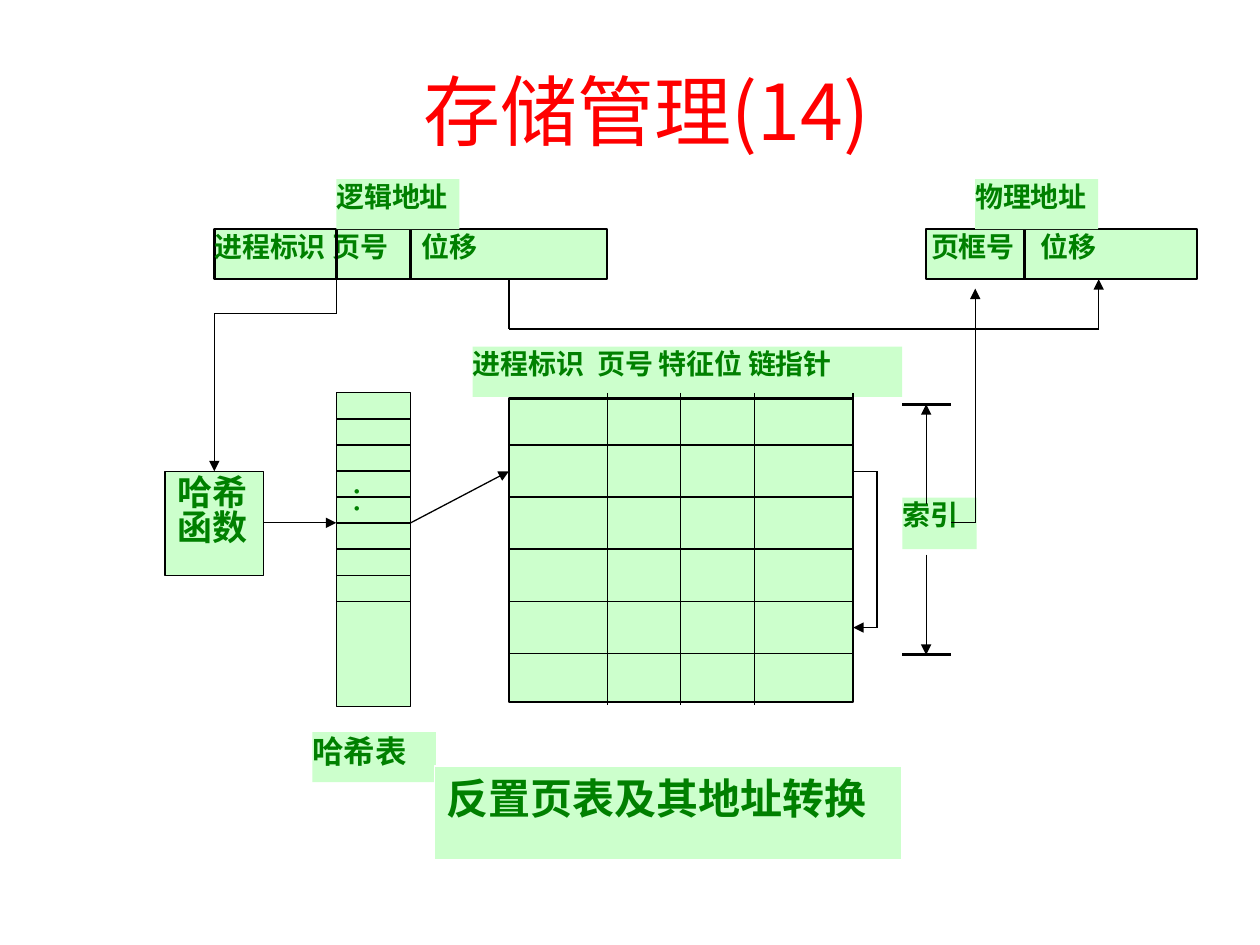
from lxml.etree import SubElement
from pptx import Presentation
from pptx.dml.color import RGBColor
from pptx.enum.shapes import MSO_CONNECTOR, MSO_SHAPE
from pptx.enum.text import MSO_ANCHOR, PP_ALIGN
from pptx.oxml.ns import qn
from pptx.util import Cm, Pt

BLACK = RGBColor(0x00, 0x00, 0x00)
WHITE = RGBColor(0xFF, 0xFF, 0xFF)
RED = RGBColor(0xFF, 0x00, 0x00)
GREEN = RGBColor(0x00, 0x80, 0x00)
PALE_GREEN = RGBColor(0xCC, 0xFF, 0xCC)


class Diagram:
    """Style and current slide; all lengths are in centimetres."""

    font = "Noto Sans CJK SC"
    thin, thick = 0.75, 1.5

    def __init__(self, slide):
        self.slide = slide

    def label(self, shape, text, size, color=GREEN, bold=True, inset=(0, 0),
              align=PP_ALIGN.LEFT, anchor=MSO_ANCHOR.TOP, tabs=(), spacing=None):
        frame = shape.text_frame
        frame.word_wrap = True
        frame.vertical_anchor = anchor
        frame.margin_left = frame.margin_right = Cm(inset[0])
        frame.margin_top, frame.margin_bottom = Cm(inset[1]), 0
        frame.text = text
        for paragraph in frame.paragraphs:
            paragraph.alignment = align
            if spacing:
                paragraph.line_spacing = spacing
            if tabs:
                stops = SubElement(paragraph._p.get_or_add_pPr(), qn("a:tabLst"))
                for stop in tabs:
                    SubElement(stops, qn("a:tab"), pos=str(Cm(stop)), algn="l")
            for run in paragraph.runs:
                run.font.name = self.font
                run.font.size = Pt(size)
                run.font.bold = bold
                run.font.color.rgb = color
                SubElement(run._r.get_or_add_rPr(), qn("a:ea"), typeface=self.font)

    def title(self, left, top, width, height, text):
        box = self.slide.shapes.add_textbox(Cm(left), Cm(top), Cm(width), Cm(height))
        self.label(box, text, 44, RED, False, align=PP_ALIGN.CENTER,
                   anchor=MSO_ANCHOR.MIDDLE)

    def box(self, left, top, width, height, text="", size=16, line=None,
            line_color=BLACK, **style):
        shape = self.slide.shapes.add_shape(
            MSO_SHAPE.RECTANGLE, Cm(left), Cm(top), Cm(width), Cm(height))
        shape.shadow.inherit = False
        shape.fill.solid()
        shape.fill.fore_color.rgb = PALE_GREEN
        if line:
            shape.line.color.rgb = line_color
            shape.line.width = Pt(line)
        else:
            shape.line.fill.background()
        if text:
            self.label(shape, text, size, **style)

    def line(self, start, end, width=thin, arrow=False):
        connector = self.slide.shapes.add_connector(
            MSO_CONNECTOR.STRAIGHT, *map(Cm, start + end))
        connector.line.color.rgb = BLACK
        connector.line.width = Pt(width)
        if arrow:
            SubElement(connector.line._get_or_add_ln(), qn("a:tailEnd"), type="triangle")
        SubElement(connector._element.spPr, qn("a:effectLst"))

    def route(self, *points):
        """Straight segments through the points, with an arrowhead at the end."""
        for start, end in zip(points, points[1:]):
            self.line(start, end, arrow=end == points[-1])


def main():
    presentation = Presentation()
    presentation.slide_width, presentation.slide_height = Cm(25.4), Cm(19.05)
    diagram = Diagram(presentation.slides.add_slide(presentation.slide_layouts[6]))
    diagram.title(2.77, 1.2, 20.52, 2.02, "存储管理(14)")

    # Logical and physical addresses
    address_top, address_bottom = 4.62, 5.63
    address_height = address_bottom - address_top
    diagram.box(4.32, address_top, 7.92, address_height, "进程标识\t页号\t位移",
                line=diagram.thick, tabs=(2.38, 4.17))
    diagram.box(18.67, address_top, 5.46, address_height, "页框号\t位移",
                line=diagram.thick, inset=(0.1, 0), tabs=(2.2,))
    for divider in (6.78, 8.28, 20.65):
        diagram.line((divider, address_top), (divider, address_bottom), diagram.thick)
    for left, caption in ((6.78, "逻辑地址"), (19.66, "物理地址")):
        diagram.box(left, 3.61, 2.48, 1.01, caption)

    # Hash function and hash table
    hash_left, hash_right, hash_top = 6.78, 8.28, 7.92
    diagram.box(3.33, 9.5, 1.98, 2.11, "哈希\n函数", 20, diagram.thin,
                inset=(0.25, 0.13), spacing=0.83)
    diagram.box(hash_left, hash_top, hash_right - hash_left, 6.32, "·\n·", 10,
                diagram.thin, inset=(0.25, 1.84), spacing=0.83)
    for row in range(1, 9):
        y = hash_top + row * 4.2 / 8
        diagram.line((hash_left, y), (hash_right, y))
    diagram.box(6.3, 14.76, 2.49, 1.01, "哈希表", 18)

    # Inverted page table
    table_left, table_right = 10.26, 17.2
    diagram.box(table_left, 8.03, table_right - table_left, 6.12, line=diagram.thick)
    diagram.box(9.53, 6.99, 8.66, 1.01, "进程标识\t页号\t特征位\t链指针",
                tabs=(2.51, 3.74, 5.55))
    for column in (12.24, 13.72, 15.21):
        diagram.line((column, 7.92), (column, 14.22))
    diagram.line((table_right, 7.92), (table_right, 14.15), 1)
    for row in range(5):
        y = 8.97 + row * 1.05
        diagram.line((table_left, y), (table_right, y))

    # Index range
    diagram.box(18.19, 10.03, 1.5, 1.04, "索引")
    for limit, start in ((8.15, 10.16), (13.2, 11.18)):
        diagram.line((18.19, limit), (19.18, limit), diagram.thick)
        diagram.line((18.67, start), (18.67, limit), arrow=True)

    # Address translation paths
    middle = 10.54
    diagram.route((6.78, address_bottom), (6.78, 6.32), (4.32, 6.32), (4.32, 9.5))
    diagram.route((5.31, middle), (hash_left, middle))
    diagram.route((hash_right, middle), (table_left, 9.5))
    diagram.route((table_right, 9.5), (17.68, 9.5), (17.68, 12.65), (table_right, 12.65))
    diagram.route((19.18, middle), (19.66, middle), (19.66, 5.82))
    diagram.route((10.26, address_bottom), (10.26, 6.63), (22.15, 6.63),
                  (22.15, address_bottom))

    # Diagram caption
    diagram.box(8.76, 15.44, 9.42, 1.9, "反置页表及其地址转换", 24, diagram.thin,
                WHITE, inset=(0.25, 0.13))

    presentation.save("out.pptx")


if __name__ == "__main__":
    main()
